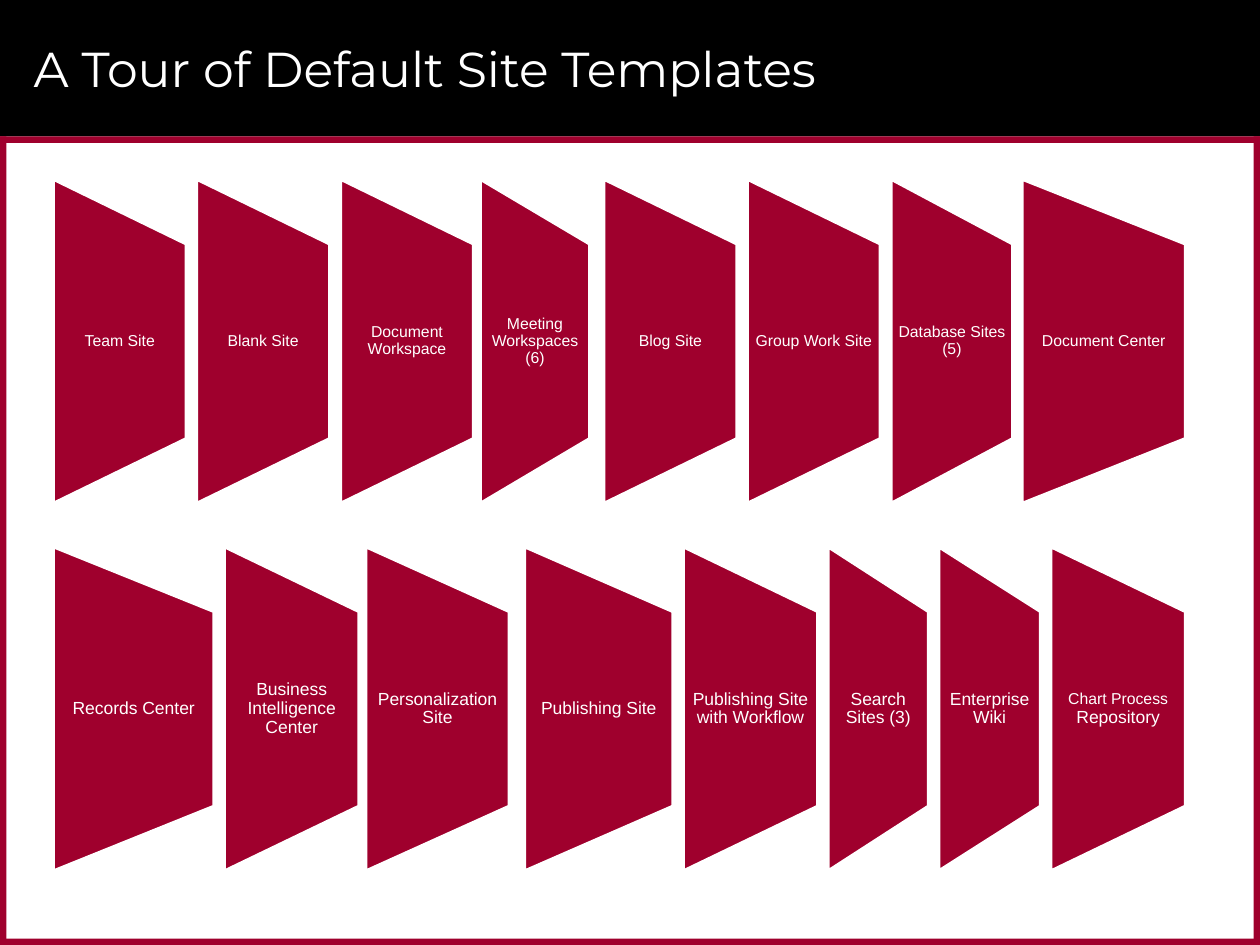
from pptx import Presentation
from pptx.dml.color import RGBColor
from pptx.enum.shapes import MSO_SHAPE
from pptx.enum.text import MSO_ANCHOR, MSO_AUTO_SIZE, PP_ALIGN
from pptx.util import Cm, Pt

HUES = {"black": "000000", "red": "9F002D", "white": "FFFFFF"}
WIDE, HIGH = 25.4, 19.05
HEAD, EDGE = 2.75, 0.13
LONG, TALL = 6.55, 3.94

ROWS = [
    (6.88, 9, [
        (1.07, 2.69, "Team Site"),
        (3.96, 2.69, "Blank Site"),
        (6.86, 2.69, "Document Workspace"),
        (9.68, 2.21, "Meeting Workspaces (6)"),
        (12.17, 2.69, "Blog Site"),
        (15.06, 2.69, "Group Work Site"),
        (17.96, 2.46, "Database Sites (5)"),
        (20.6, 3.3, "Document Center"),
    ]),
    (14.29, 10, [
        (1.07, 3.25, "Records Center"),
        (4.52, 2.72, "Business Intelligence Center"),
        (7.37, 2.9, "Personalization Site"),
        (10.57, 3.0, "Publishing Site"),
        (13.77, 2.72, "Publishing Site with Workflow"),
        (16.69, 2.03, "Search Sites (3)"),
        (18.92, 2.06, "Enterprise Wiki"),
        (21.18, 2.72, [("Chart Process ", 9), ("Repository", 10)]),
    ]),
]


def write(frame, text, size=10, font="Arial", hue="white",
          align=PP_ALIGN.CENTER, space=0.9, pad=0.15, rise=0):
    """Fill a frame with one paragraph, given as a string or (text, size) runs."""
    frame.word_wrap = True
    frame.auto_size = MSO_AUTO_SIZE.NONE
    frame.vertical_anchor = MSO_ANCHOR.MIDDLE
    frame.margin_left = frame.margin_right = Cm(pad)
    frame.margin_top = frame.margin_bottom = Cm(rise)
    para = frame.paragraphs[0]
    para.alignment = align
    para.line_spacing = space
    runs = [(text, size)] if isinstance(text, str) else text
    for words, points in runs:
        run = para.add_run()
        run.text = words
        run.font.name = font
        run.font.size = Pt(points)
        run.font.color.rgb = RGBColor.from_string(HUES[hue])


class Deck:
    """Hold the style and the current slide."""

    def __init__(self):
        """Open a deck with one title-only slide."""
        self.show = Presentation()
        self.show.slide_width, self.show.slide_height = Cm(WIDE), Cm(HIGH)
        self.slide = self.show.slides.add_slide(self.show.slide_layouts[5])

    def shape(self, kind, left, top, width, height, fill):
        """Add a flat filled shape without an outline."""
        item = self.slide.shapes.add_shape(
            kind, Cm(left), Cm(top), Cm(width), Cm(height))
        item.shadow.inherit = False
        item.fill.solid()
        item.fill.fore_color.rgb = RGBColor.from_string(HUES[fill])
        item.line.fill.background()
        return item

    def band(self, left, top, width, height, fill="red"):
        """Add a rectangle of the slide frame."""
        self.shape(MSO_SHAPE.RECTANGLE, left, top, width, height, fill)

    def title(self, text):
        """Place the title in front of the header band."""
        item = self.slide.shapes.title
        item.left, item.top = Cm(0.43), Cm(0.2)
        item.width, item.height = Cm(23.93), Cm(2.34)
        write(item.text_frame, text, size=28, font="Montserrat",
              align=PP_ALIGN.LEFT, space=1, pad=0.25, rise=0.13)
        self.slide.shapes._spTree.append(item._element)

    def card(self, left, mid, width, text, size):
        """Add a turned trapezoid with an upright label."""
        item = self.shape(MSO_SHAPE.FLOWCHART_MANUAL_OPERATION,
                          left + (width - LONG) / 2, mid - width / 2,
                          LONG, width, "red")
        item.rotation = 270
        item.line.color.rgb = RGBColor.from_string(HUES["white"])
        item.line.width = Pt(2)
        label = self.slide.shapes.add_textbox(
            Cm(left), Cm(mid - TALL / 2), Cm(width), Cm(TALL))
        write(label.text_frame, text, size=size)


def main():
    """Build and save the slide."""
    deck = Deck()
    deck.band(0, 0, WIDE, HEAD, "black")
    for top in (HEAD, HIGH - EDGE):
        deck.band(0, top, WIDE, EDGE)
    for left in (0, WIDE - EDGE):
        deck.band(left, HEAD, EDGE, HIGH - HEAD)
    deck.title("A Tour of Default Site Templates")
    for mid, size, cards in ROWS:
        for left, width, text in cards:
            deck.card(left, mid, width, text, size)
    deck.show.save("out.pptx")


if __name__ == "__main__":
    main()
